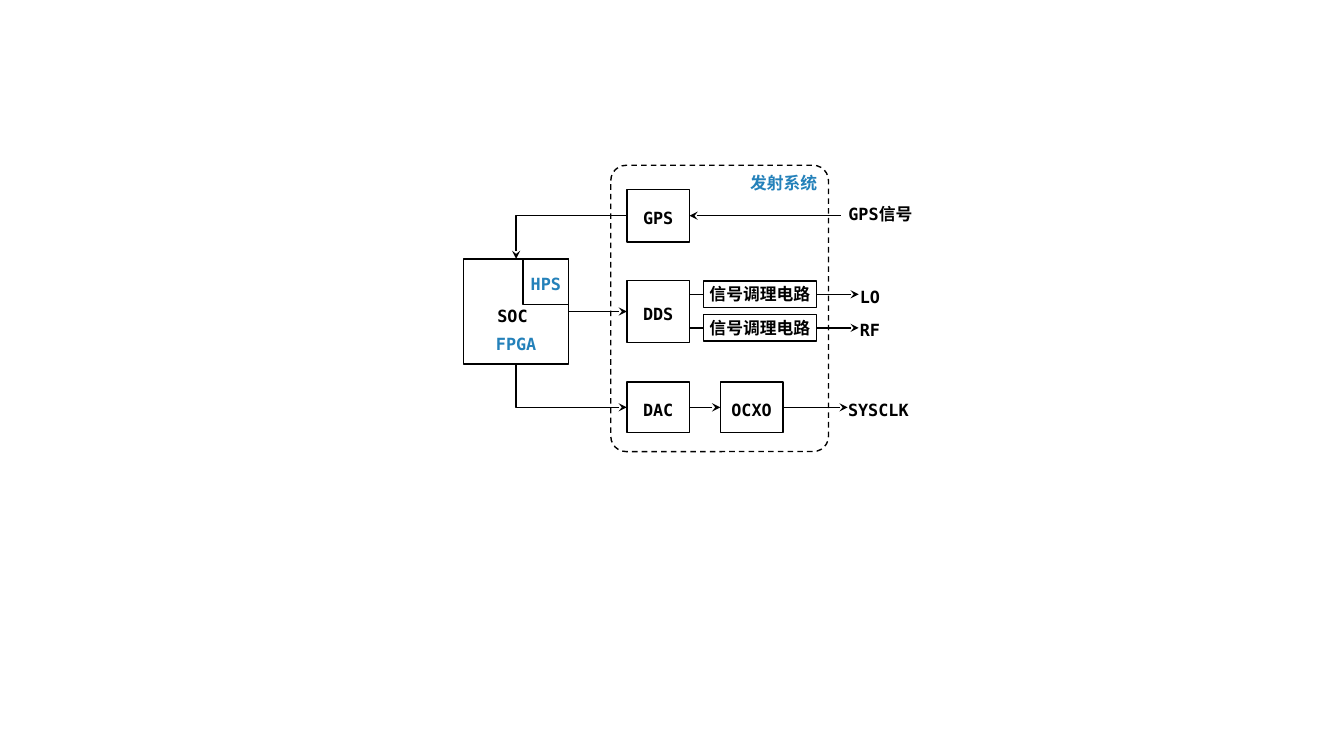
from dataclasses import dataclass
from typing import NamedTuple

import pptx
import pptx.dml.color
import pptx.enum.dml
import pptx.enum.shapes
import pptx.enum.text
import pptx.oxml
import pptx.oxml.ns
import pptx.util

Pt = pptx.util.Pt
ANCHOR = pptx.enum.text.MSO_ANCHOR
CONNECTOR = pptx.enum.shapes.MSO_CONNECTOR
SHAPE = pptx.enum.shapes.MSO_SHAPE

COLORS = {"ink": "000000", "accent": "2481BA"}
FONT = "DejaVu Sans Mono"
TOP, LEFT, BOTTOM, RIGHT = range(4)

SOC_X, SOC_Y, SOC_SIZE = 331.2, 185, 75
HPS_SIZE = 32.5
COLUMN_X, BLOCK_W = 447.8, 44.7
GPS_Y, DDS_Y, DAC_Y = 154.1, 222.5, 291  # centre lines of the three rows
LO_Y, RF_Y = 210.2, 234.2  # centre lines of the two DDS outputs
CONDITIONER_X, CONDITIONER_W, CONDITIONER_H = 502.4, 80.8, 18.7
LABEL_H = 20.9


@dataclass
class Part:
    key: str
    text: str
    x: float
    middle: float
    width: float
    height: float
    color: str = "ink"
    outlined: bool = True
    top_inset: float = 2.88
    bottom_inset: float = 0
    anchor: ANCHOR = ANCHOR.MIDDLE


class Joint(NamedTuple):
    key: str
    side: int


class Spot(NamedTuple):
    x: float
    y: float


@dataclass
class Wire:
    start: Joint | Spot
    end: Joint | Spot
    arrow: str | None = "tailEnd"
    bent: bool = False


PARTS = [
    Part("soc", "FPGA", SOC_X, SOC_Y + SOC_SIZE / 2, SOC_SIZE, SOC_SIZE, "accent",
         bottom_inset=7.2, anchor=ANCHOR.BOTTOM),
    Part("hps", "HPS", SOC_X + SOC_SIZE - HPS_SIZE, SOC_Y + HPS_SIZE / 2,
         HPS_SIZE, HPS_SIZE, "accent"),
    Part("soc_name", "SOC", 344.9, 224.2, 42.5, LABEL_H, outlined=False),
    Part("gps", "GPS", COLUMN_X, GPS_Y, BLOCK_W, 37.4),
    Part("dds", "DDS", COLUMN_X, DDS_Y, BLOCK_W, 44.7),
    Part("dac", "DAC", COLUMN_X, DAC_Y, BLOCK_W, 36.3),
    Part("ocxo", "OCXO", 514.5, DAC_Y, BLOCK_W, 36.3),
    Part("lo_conditioner", "信号调理电路", CONDITIONER_X, LO_Y,
         CONDITIONER_W, CONDITIONER_H, top_inset=0),
    Part("rf_conditioner", "信号调理电路", CONDITIONER_X, RF_Y,
         CONDITIONER_W, CONDITIONER_H, top_inset=0),
    Part("system", "发射系统", 533.5, 130.3, 52.6, 14.4, "accent",
         outlined=False, top_inset=0),
    Part("gps_signal", "GPS信号", 602.6, 151.6, 52.6, LABEL_H, outlined=False),
    Part("lo", "LO", 613.4, LO_Y, 16, LABEL_H, outlined=False),
    Part("rf", "RF", 613.4, RF_Y, 16, LABEL_H, outlined=False),
    Part("sysclk", "SYSCLK", 602.6, DAC_Y, 49.7, LABEL_H, outlined=False),
]

WIRES = [
    Wire(Joint("gps", LEFT), Joint("soc", TOP), bent=True),
    Wire(Joint("dac", LEFT), Joint("soc", BOTTOM), "headEnd", bent=True),
    Wire(Joint("soc", RIGHT), Joint("dds", LEFT)),
    Wire(Joint("dac", RIGHT), Joint("ocxo", LEFT)),
    Wire(Spot(600.5, GPS_Y), Joint("gps", RIGHT)),
    Wire(Joint("ocxo", RIGHT), Spot(605.5, DAC_Y)),
    Wire(Spot(COLUMN_X + BLOCK_W, LO_Y), Joint("lo_conditioner", LEFT), None),
    Wire(Spot(COLUMN_X + BLOCK_W, RF_Y), Joint("rf_conditioner", LEFT), None),
    Wire(Joint("lo_conditioner", RIGHT), Joint("lo", LEFT)),
    Wire(Joint("rf_conditioner", RIGHT), Joint("rf", LEFT)),
]


def rgb(name: str) -> pptx.dml.color.RGBColor:
    return pptx.dml.color.RGBColor.from_string(COLORS[name])


def draw_outline(shape) -> None:
    shape.shadow.inherit = False
    shape.fill.background()
    shape.line.color.rgb = rgb("ink")
    shape.line.width = Pt(1)


def draw_system_frame(shapes) -> None:
    frame = shapes.add_shape(SHAPE.ROUNDED_RECTANGLE,
                             Pt(436.3), Pt(118.1), Pt(155.5), Pt(204.5))
    frame.adjustments[0] = 0.07
    draw_outline(frame)
    frame.line.dash_style = pptx.enum.dml.MSO_LINE.DASH


def draw_part(shapes, part: Part):
    bounds = (Pt(part.x), Pt(part.middle - part.height / 2), Pt(part.width), Pt(part.height))
    if part.outlined:
        shape = shapes.add_shape(SHAPE.RECTANGLE, *bounds)
        draw_outline(shape)
    else:
        shape = shapes.add_textbox(*bounds)
    frame = shape.text_frame
    frame.word_wrap = True
    frame.vertical_anchor = part.anchor
    frame.margin_left = frame.margin_right = 0
    frame.margin_top, frame.margin_bottom = Pt(part.top_inset), Pt(part.bottom_inset)
    paragraph = frame.paragraphs[0]
    paragraph.text = part.text
    paragraph.alignment = pptx.enum.text.PP_ALIGN.CENTER
    paragraph.font.name = FONT
    paragraph.font.size = Pt(12)
    paragraph.font.bold = True
    paragraph.font.color.rgb = rgb(part.color)
    return shape


def draw_wire(shapes, wire: Wire, drawn: dict) -> None:
    """Draw a wire, joining each end that is a Joint to its part."""
    connector = shapes.add_connector(
        CONNECTOR.ELBOW if wire.bent else CONNECTOR.STRAIGHT, 0, 0, 0, 0)
    if isinstance(wire.start, Joint):
        connector.begin_connect(drawn[wire.start.key], wire.start.side)
    else:
        connector.begin_x, connector.begin_y = Pt(wire.start.x), Pt(wire.start.y)
    if isinstance(wire.end, Joint):
        connector.end_connect(drawn[wire.end.key], wire.end.side)
    else:
        connector.end_x, connector.end_y = Pt(wire.end.x), Pt(wire.end.y)
    connector.line.color.rgb = rgb("ink")
    connector.line.width = Pt(1)

    properties = connector.element.spPr
    qn, element = pptx.oxml.ns.qn, pptx.oxml.parse_xml
    namespace = pptx.oxml.ns.nsdecls("a")
    if wire.bent:
        properties.find(qn("a:prstGeom")).set("prst", "bentConnector2")
    if wire.arrow:
        properties.find(qn("a:ln")).append(
            element(f'<a:{wire.arrow} {namespace} type="stealth"/>'))
    properties.append(element(f"<a:effectLst {namespace}/>"))


def main() -> None:
    deck = pptx.Presentation()
    deck.slide_width, deck.slide_height = Pt(960), Pt(540)
    shapes = deck.slides.add_slide(deck.slide_layouts[6]).shapes
    draw_system_frame(shapes)
    drawn = {part.key: draw_part(shapes, part) for part in PARTS}
    for wire in WIRES:
        draw_wire(shapes, wire, drawn)
    deck.save("out.pptx")


if __name__ == "__main__":
    main()
